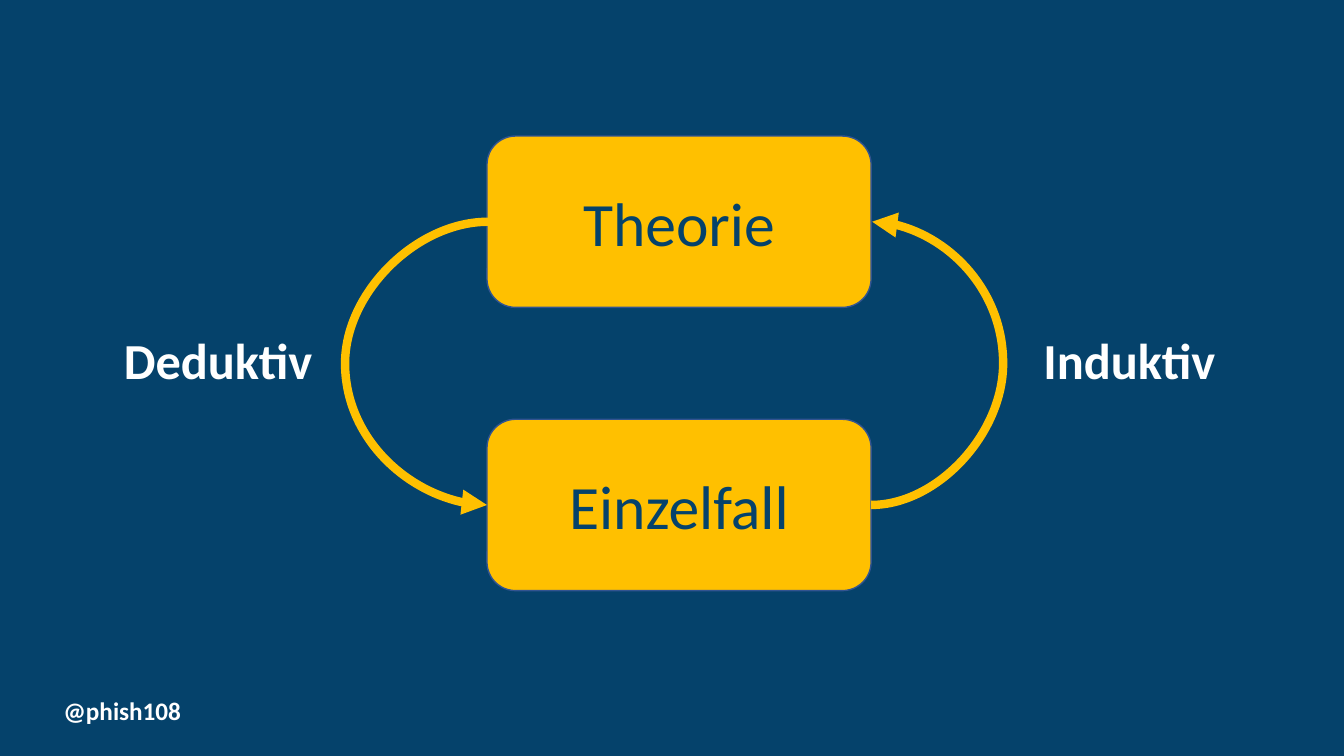
import pptx
import pptx.util
import pptx.dml.color
import pptx.enum.shapes
import pptx.enum.text
import pptx.oxml

Inches = pptx.util.Inches
NAVY, GOLD, EDGE, WHITE = "05426B", "FFC000", "325491", "FFFFFF"

BOXES = [("Theorie", 1.35), ("Einzelfall", 4.16)]
BOX_LEFT, BOX_W, BOX_H = 4.83, 3.81, 1.7
LABELS = [
    ("@phish108", 0.53, 6.85, 2.91, 0.4, 18),
    ("Deduktiv", 1.13, 3.22, 2.57, 0.71, 36),
    ("Induktiv", 10.25, 3.22, 2.57, 0.71, 36),
]
GAP = 0.01
THEORY_Y, CASE_Y = [top + BOX_H / 2 for _, top in BOXES]
BOX_RIGHT = BOX_LEFT + BOX_W
ARROWS = [
    (BOX_RIGHT, CASE_Y, BOX_RIGHT + GAP, THEORY_Y, 1.33),
    (BOX_LEFT + GAP, THEORY_Y, BOX_LEFT, CASE_Y, 1.44),
]


def rgb(color):
    return pptx.dml.color.RGBColor.from_string(color)


def write(sp, text, size, color, bold=False):
    tf = sp.text_frame
    tf.word_wrap = True
    tf.text = text
    f = tf.paragraphs[0].runs[0].font
    f.name, f.size, f.bold = "Calibri", pptx.util.Pt(size), bold
    f.color.rgb = rgb(color)
    return tf


def add_box(s, text, top):
    sp = s.shapes.add_shape(pptx.enum.shapes.MSO_SHAPE.ROUNDED_RECTANGLE,
                            Inches(BOX_LEFT), Inches(top), Inches(BOX_W), Inches(BOX_H))
    sp.shadow.inherit = False
    sp.fill.solid()
    sp.fill.fore_color.rgb = rgb(GOLD)
    sp.line.color.rgb = rgb(EDGE)
    sp.line.width = pptx.util.Pt(1)
    tf = write(sp, text, 44, NAVY)
    tf.vertical_anchor = pptx.enum.text.MSO_ANCHOR.MIDDLE
    tf.paragraphs[0].alignment = pptx.enum.text.PP_ALIGN.CENTER


def add_arrow(s, x1, y1, x2, y2, bulge):
    c = s.shapes.add_connector(pptx.enum.shapes.MSO_CONNECTOR.CURVE,
                               Inches(x1), Inches(y1), Inches(x2), Inches(y2))
    c.line.color.rgb = rgb(GOLD)
    c.line.width = pptx.util.Pt(6)
    ns = 'xmlns:a="http://schemas.openxmlformats.org/drawingml/2006/main"'
    sp_pr = c._element.spPr
    adjust = round(Inches(bulge) / c.width * 100000)
    sp_pr.prstGeom.get_or_add_avLst().append(
        pptx.oxml.parse_xml(f'<a:gd {ns} name="adj1" fmla="val {adjust}"/>'))
    sp_pr.ln.append(pptx.oxml.parse_xml(f'<a:tailEnd {ns} type="triangle"/>'))
    sp_pr.append(pptx.oxml.parse_xml(f'<a:effectLst {ns}/>'))


def main():
    prs = pptx.Presentation()
    prs.slide_width, prs.slide_height = Inches(13.33), Inches(7.5)
    s = prs.slides.add_slide(prs.slide_layouts[6])
    s.background.fill.solid()
    s.background.fill.fore_color.rgb = rgb(NAVY)
    for text, top in BOXES:
        add_box(s, text, top)
    for arrow in ARROWS:
        add_arrow(s, *arrow)
    for text, left, top, width, height, size in LABELS:
        sp = s.shapes.add_textbox(Inches(left), Inches(top), Inches(width), Inches(height))
        write(sp, text, size, WHITE, bold=True)
    prs.save("out.pptx")


if __name__ == "__main__":
    main()
